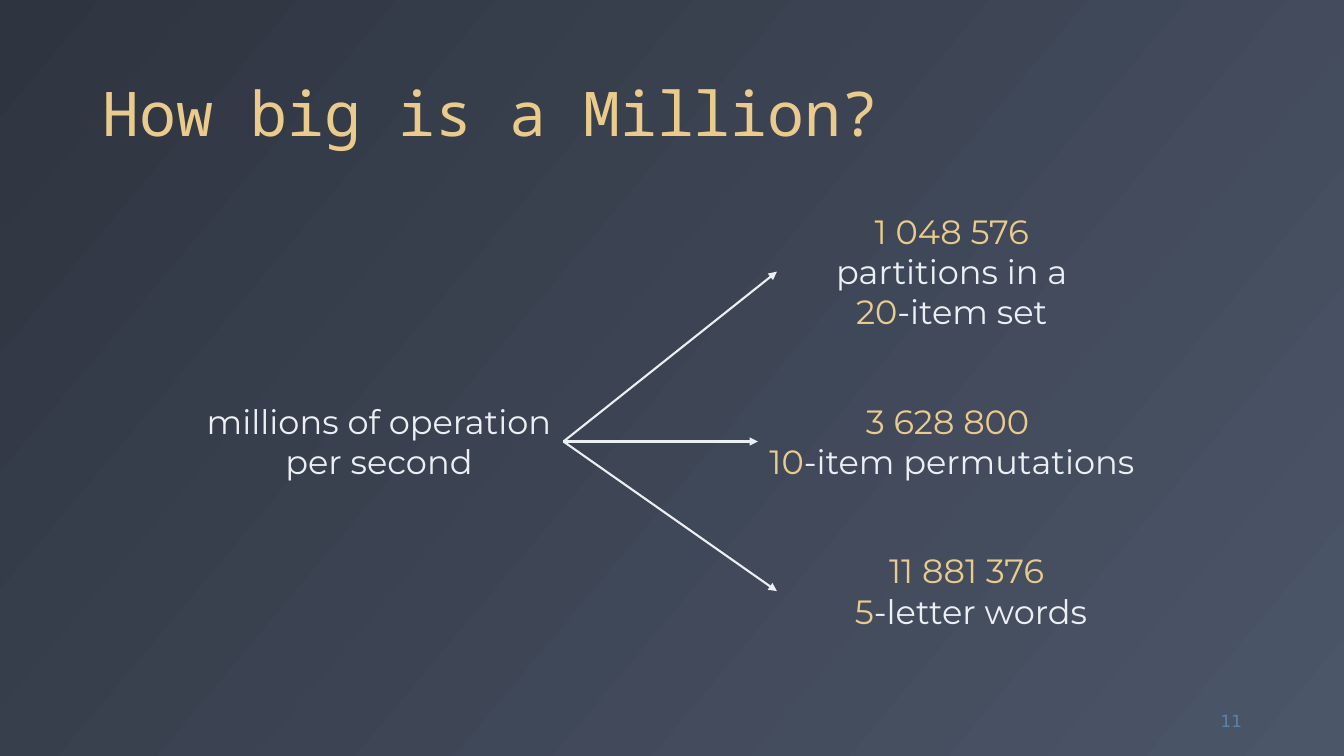
from lxml import etree
from pptx import Presentation
from pptx.dml.color import RGBColor
from pptx.enum.shapes import MSO_CONNECTOR
from pptx.enum.text import MSO_ANCHOR, MSO_AUTO_SIZE, PP_ALIGN
from pptx.oxml.ns import qn
from pptx.util import Cm, Pt

STRAIGHT = MSO_CONNECTOR.STRAIGHT
TOP, MIDDLE, BOTTOM = MSO_ANCHOR.TOP, MSO_ANCHOR.MIDDLE, MSO_ANCHOR.BOTTOM
LEFT, CENTER, RIGHT = PP_ALIGN.LEFT, PP_ALIGN.CENTER, PP_ALIGN.RIGHT
GROW = MSO_AUTO_SIZE.SHAPE_TO_FIT_TEXT
LEFT_SIDE, RIGHT_SIDE = 1, 3
COLORS = {
    "dark": "2E3440",
    "slate": "4C5669",
    "gold": "EBCB8B",
    "white": "ECEFF3",
    "blue": "5E81AC",
}


def rgb(name):
    """Return the named colour."""
    return RGBColor.from_string(COLORS[name])


def paint_background(slide):
    """Fill the slide with the diagonal gradient."""
    fill = slide.background.fill
    fill.gradient()
    fill.gradient_angle = 320
    for stop, name in zip(fill.gradient_stops, ("dark", "slate")):
        stop.color.rgb = rgb(name)


def add_text(slide, box, lines, font_name, size, align, anchor=TOP):
    """Add a text box whose lines are lists of (text, colour) runs."""
    shape = slide.shapes.add_textbox(*(Cm(length) for length in box))
    frame = shape.text_frame
    frame.word_wrap = True
    frame.vertical_anchor = anchor
    for index, runs in enumerate(lines):
        paragraph = frame.add_paragraph() if index else frame.paragraphs[0]
        paragraph.alignment = align
        paragraph.font.name = font_name
        paragraph.font.size = Pt(size)
        for text, color in runs:
            if text == "\n":
                paragraph.add_line_break()
                continue
            run = paragraph.add_run()
            run.text = text
            run.font.color.rgb = rgb(color)
    return shape


def add_label(slide, box, lines):
    """Add a centred diagram label that grows with its text."""
    label = add_text(slide, box, lines, "Montserrat", 24, CENTER)
    label.text_frame.auto_size = GROW
    return label


def add_arrow(slide, source, target):
    """Join the right side of source to the left side of target."""
    arrow = slide.shapes.add_connector(STRAIGHT, 0, 0, 0, 0)
    arrow.begin_connect(source, RIGHT_SIDE)
    arrow.end_connect(target, LEFT_SIDE)
    arrow.line.color.rgb = rgb("white")
    arrow.line.width = Pt(1.5)
    etree.SubElement(arrow.line._get_or_add_ln(), qn("a:tailEnd"), type="triangle")
    etree.SubElement(arrow._element.spPr, qn("a:effectLst"))


def main():
    """Build the slide and save it."""
    presentation = Presentation()
    presentation.slide_width, presentation.slide_height = Cm(33.87), Cm(19.05)
    slide = presentation.slides.add_slide(presentation.slide_layouts[6])
    paint_background(slide)

    title = add_text(slide, (2.34, 0.46, 29.21, 3.45),
                     [[("How big is a Million?", "gold")]],
                     "Noto Sans Mono", 44, LEFT, BOTTOM)
    title.text_frame.paragraphs[0].line_spacing = 0.9
    add_text(slide, (29.44, 17.65, 2.11, 1.02), [[("11", "blue")]],
             "DejaVu Sans", 12, RIGHT, MIDDLE)

    speed = add_label(slide, (4.9, 9.97, 9.3, 2.31),
                      [[("millions of operation", "white")],
                       [("per second", "white")]])
    speed.text_frame.word_wrap = False

    examples = [
        ((19.58, 5.18, 8.81, 3.33),
         [[("1 048 576", "gold")],
          [("partitions in a", "white"), ("\n", "white"),
           ("20", "gold"), ("-item set", "white")]]),
        ((19.1, 9.97, 9.78, 2.31),
         [[("3 628 800 ", "gold")],
          [("10", "gold"), ("-item permutations", "white")]]),
        ((19.58, 13.74, 9.78, 2.31),
         [[("11 881 376 ", "gold")],
          [("5", "gold"), ("-letter words", "white")]]),
    ]
    for box, lines in examples:
        add_arrow(slide, speed, add_label(slide, box, lines))

    presentation.save("out.pptx")


if __name__ == "__main__":
    main()
